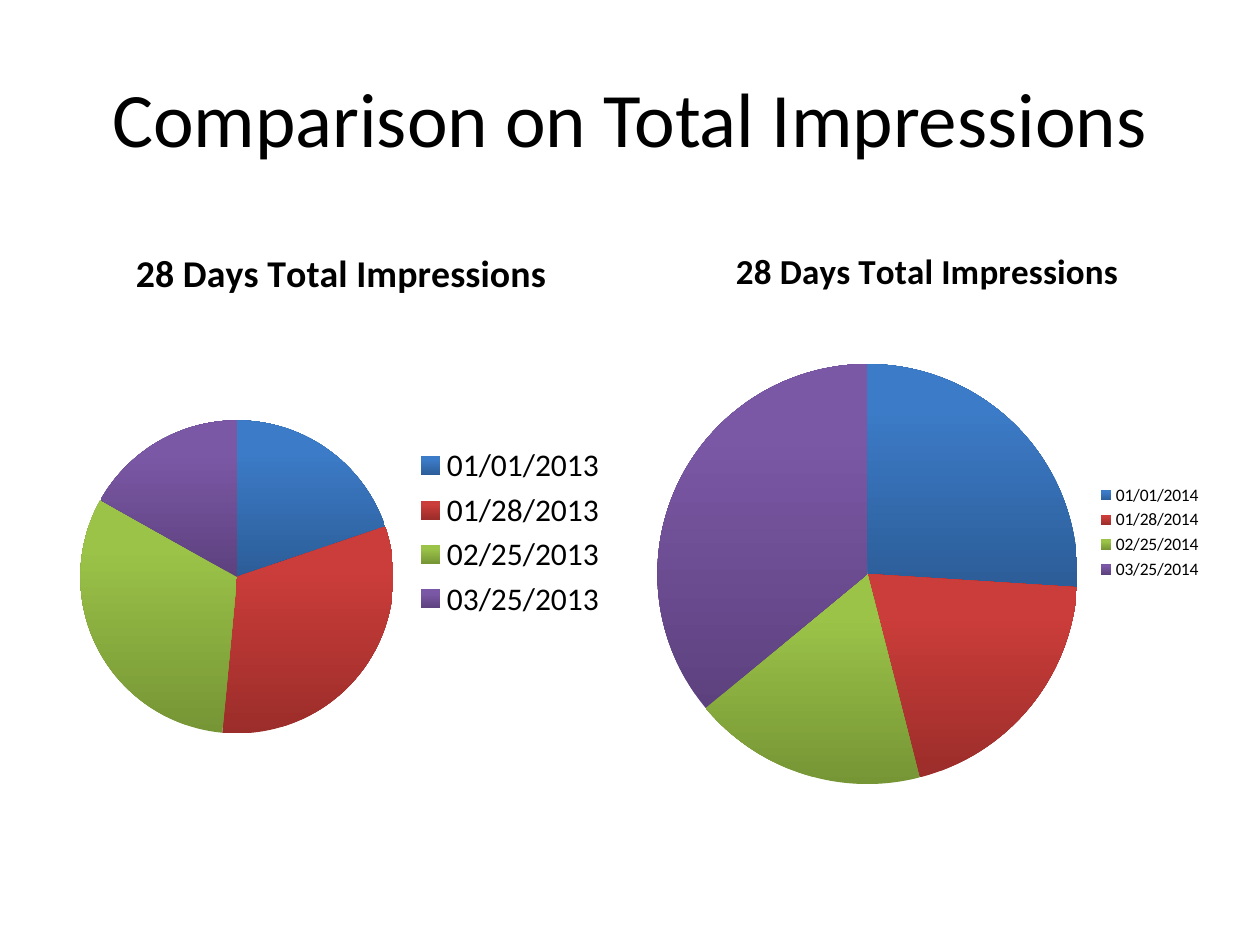
from pptx import Presentation
from pptx.chart.data import CategoryChartData
from pptx.dml.color import RGBColor
from pptx.enum.chart import XL_CHART_TYPE as ChartType, XL_LEGEND_POSITION as LegendPosition
from pptx.enum.text import MSO_ANCHOR, PP_ALIGN
from pptx.util import Inches, Pt

FONT = "Calibri"
BLACK = RGBColor(0x00, 0x00, 0x00)
# Dark bottom and light top of each slice
SLICE_COLORS = [
    (RGBColor(0x2C, 0x5D, 0x98), RGBColor(0x3C, 0x7B, 0xC7)),
    (RGBColor(0x9B, 0x2D, 0x2A), RGBColor(0xCB, 0x3D, 0x3A)),
    (RGBColor(0x76, 0x95, 0x35), RGBColor(0x9B, 0xC3, 0x48)),
    (RGBColor(0x5D, 0x41, 0x7E), RGBColor(0x7B, 0x58, 0xA6)),
]
DAYS = ["01/01", "01/28", "02/25", "03/25"]
CHART_TITLE = "28 Days Total Impressions"
# Year, series name, left, width, text size, title size, values
PIES = [
    (2013, CHART_TITLE, 0.5, 4.42, 18, 21.6, (20, 32, 32, 17)),
    (2014, "Series 1", 5.08, 4.56, 10, 20, (26, 20, 18, 36)),
]


def format_font(font, size):
    font.name = FONT
    font.size = Pt(size)
    font.color.rgb = BLACK


presentation = Presentation()
presentation.slide_width = Inches(10)
presentation.slide_height = Inches(7.5)
slide = presentation.slides.add_slide(presentation.slide_layouts[5])

title = slide.shapes.title
title.left, title.top = Inches(0.5), Inches(0.3)
title.width, title.height = Inches(9), Inches(1.25)
title.text_frame.vertical_anchor = MSO_ANCHOR.MIDDLE
paragraph = title.text_frame.paragraphs[0]
paragraph.alignment = PP_ALIGN.CENTER
run = paragraph.add_run()
run.text = "Comparison on Total Impressions"
format_font(run.font, 44)

for year, series_name, left, width, text_size, title_size, values in PIES:
    chart_data = CategoryChartData()
    chart_data.categories = [f"{day}/{year}" for day in DAYS]
    chart_data.add_series(series_name, values)
    chart = slide.shapes.add_chart(
        ChartType.PIE, Inches(left), Inches(1.75), Inches(width), Inches(4.95), chart_data
    ).chart
    format_font(chart.font, text_size)

    chart.has_title = True
    chart.chart_title.include_in_layout = False
    run = chart.chart_title.text_frame.paragraphs[0].add_run()
    run.text = CHART_TITLE
    format_font(run.font, title_size)
    run.font.bold = True

    chart.has_legend = True
    chart.legend.position = LegendPosition.RIGHT
    chart.legend.include_in_layout = False

    plot = chart.plots[0]
    plot.vary_by_categories = True
    for index, (dark, light) in enumerate(SLICE_COLORS):
        fill = plot.series[0].points[index].format.fill
        fill.gradient()
        fill.gradient_angle = 90
        bottom, top = fill.gradient_stops
        bottom.color.rgb, bottom.position = dark, 0
        top.color.rgb, top.position = light, 0.8

presentation.save("out.pptx")
